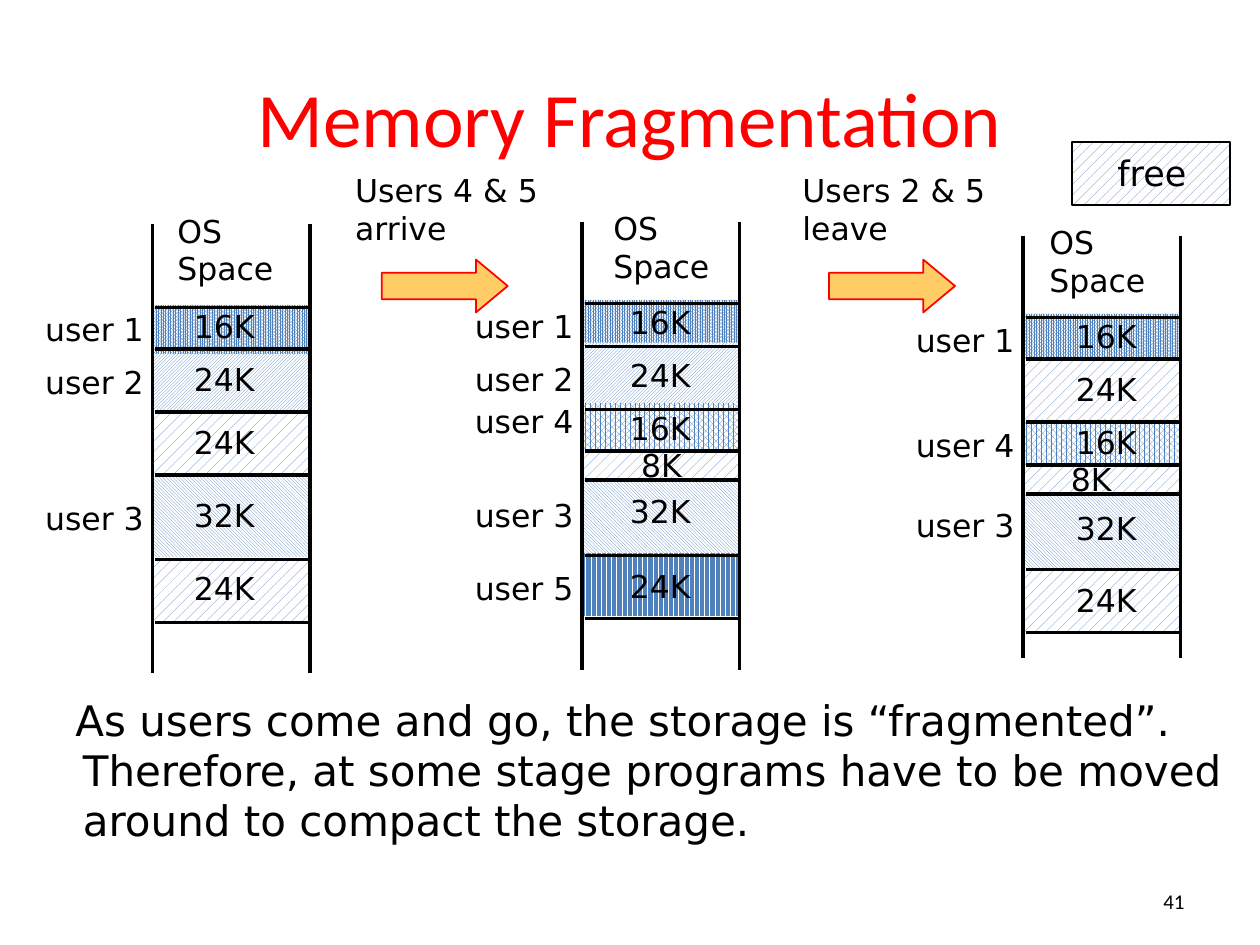
from dataclasses import dataclass

from pptx import Presentation
from pptx.dml.color import RGBColor
from pptx.enum import dml, shapes, text
from pptx.oxml.ns import qn
from pptx.util import Inches, Pt


@dataclass(frozen=True)
class Theme:
    ink: RGBColor = RGBColor.from_string("000000")
    red: RGBColor = RGBColor.from_string("FF0000")
    arrow: RGBColor = RGBColor.from_string("FFCC66")
    pattern: RGBColor = RGBColor.from_string("4F81BD")
    paper: RGBColor = RGBColor.from_string("FFFFFF")
    heading_font: str = "Calibri"
    font: str = "DejaVu Sans"
    title: int = 44
    body: int = 24
    legend: int = 20
    label: int = 18
    number: int = 12


theme = Theme()


def add_text(container, words, left, top, width, height, size=theme.label, font=theme.font,
             align=text.PP_ALIGN.LEFT, anchor=text.MSO_ANCHOR.TOP, wrap=False, margins=()):
    box = container.shapes.add_textbox(Inches(left), Inches(top), Inches(width), Inches(height))
    frame = box.text_frame
    frame.text = words
    frame.word_wrap = wrap
    frame.vertical_anchor = anchor
    frame.auto_size = text.MSO_AUTO_SIZE.SHAPE_TO_FIT_TEXT
    for paragraph in frame.paragraphs:
        paragraph.alignment = align
        paragraph.font.size = Pt(size)
        paragraph.font.name = font
        paragraph.font.color.rgb = theme.ink
    for paragraph, margin in zip(frame.paragraphs, margins):
        properties = paragraph._p.get_or_add_pPr()
        properties.set("marL", str(Inches(margin)))
        properties.set("indent", "0")
    return box


def add_block(container, pattern, left, top, width, height):
    shape = container.shapes.add_shape(shapes.MSO_SHAPE.RECTANGLE, Inches(left), Inches(top),
                                       Inches(width), Inches(height))
    shape.shadow.inherit = False
    shape.fill.patterned()
    shape.fill.pattern = pattern
    shape.fill.fore_color.rgb = theme.pattern
    shape.fill.back_color.rgb = theme.paper
    shape.line.fill.background()
    return shape


presentation = Presentation()
presentation.slide_width = Inches(10)
presentation.slide_height = Inches(7.5)
slide = presentation.slides.add_slide(presentation.slide_layouts[5])

title = slide.shapes.title
title.left, title.top, title.width, title.height = Inches(0.5), Inches(0.3), Inches(9), Inches(1.25)
title.text_frame.text = "Memory Fragmentation"
title.text_frame.vertical_anchor = text.MSO_ANCHOR.MIDDLE
heading = title.text_frame.paragraphs[0]
heading.alignment = text.PP_ALIGN.CENTER
heading.font.size = Pt(theme.title)
heading.font.name = theme.heading_font
heading.font.color.rgb = theme.red

add_text(slide, "41", 7.17, 6.95, 2.33, 0.4, size=theme.number, font=theme.heading_font,
         align=text.PP_ALIGN.RIGHT, anchor=text.MSO_ANCHOR.MIDDLE, wrap=True)
add_text(slide, "As users come and go, the storage is “fragmented”.\n"
         "Therefore, at some stage programs have to be moved\n"
         "around to compact the storage.",
         0.35, 5.46, 9.6, 1.31, size=theme.body, margins=(0.15, 0.21, 0.21))

free = dml.MSO_PATTERN.PERCENT_20
user_patterns = {
    "user 1": dml.MSO_PATTERN.PERCENT_90,
    "user 2": dml.MSO_PATTERN.DARK_UPWARD_DIAGONAL,
    "user 3": dml.MSO_PATTERN.DARK_DOWNWARD_DIAGONAL,
    "user 4": dml.MSO_PATTERN.PERCENT_75,
    "user 5": dml.MSO_PATTERN.DARK_VERTICAL,
}

# left, wall top, wall bottom, OS left, size left, small size left, dividers, blocks
memories = [
    (1.2, 1.78, 5.34, 1.31, 1.44, 1.44, (2.44, 2.77, 3.27, 3.77, 4.44, 4.94), [
        (2.42, 0.4, "16K", 2.39, "user 1", 2.41),
        (2.81, 0.5, "24K", 2.81, "user 2", 2.83),
        (3.27, 0.5, "24K", 3.31, None, None),
        (3.78, 0.64, "32K", 3.89, "user 3", 3.91),
        (4.44, 0.5, "24K", 4.47, None, None),
    ]),
    (4.61, 1.76, 5.32, 4.77, 4.9, 4.99, (2.41, 2.75, 3.25, 3.58, 3.81, 4.41, 4.91), [
        (2.38, 0.4, "16K", 2.36, "user 1", 2.39),
        (2.72, 0.5, "24K", 2.78, "user 2", 2.81),
        (3.2, 0.4, "16K", 3.2, "user 4", 3.14),
        (3.58, 0.23, "8K", 3.49, None, None),
        (3.81, 0.64, "32K", 3.86, "user 3", 3.89),
        (4.39, 0.5, "24K", 4.45, "user 5", 4.47),
    ]),
    (8.11, 1.87, 5.22, 8.23, 8.44, 8.4, (2.52, 2.85, 3.35, 3.69, 3.92, 4.52, 5.02), [
        (2.49, 0.4, "16K", 2.47, "user 1", 2.5),
        (2.85, 0.5, "24K", 2.89, None, None),
        (3.33, 0.4, "16K", 3.31, "user 4", 3.33),
        (3.7, 0.23, "8K", 3.6, None, None),
        (3.93, 0.6, "32K", 3.99, "user 3", 3.97),
        (4.53, 0.5, "24K", 4.56, None, None),
    ]),
]

for left, wall_top, wall_bottom, os_left, size_left, small_left, dividers, blocks in memories:
    memory = slide.shapes.add_group_shape()
    for top, height, size, size_top, user, user_top in blocks:
        add_block(memory, user_patterns.get(user, free), left, top, 1.25, height)

    walls = [(x, wall_top, x, wall_bottom) for x in (left + 0.01, left + 1.26)]
    rules = [(left + 0.03, y, left + 1.25, y) for y in dividers]
    for ends in walls + rules:
        line = memory.shapes.add_connector(shapes.MSO_CONNECTOR.STRAIGHT, *map(Inches, ends))
        line.line.color.rgb = theme.ink
        line.line.width = Pt(2)
        properties = line._element.spPr
        properties.append(properties.makeelement(qn("a:effectLst"), {}))

    add_text(memory, "OS\nSpace", os_left, wall_top - 0.15, 0.96, 0.7)
    for top, height, size, size_top, user, user_top in blocks:
        if size == "8K":
            add_text(memory, size, small_left, size_top, 0.78, 0.4, wrap=True)
        else:
            add_text(memory, size, size_left, size_top, 0.7, 0.4)
        if user:
            add_text(memory, user, left - 0.94, user_top, 1, 0.4)

for left, words in ((2.72, "Users 4 & 5\narrive"), (6.27, "Users 2 & 5\nleave")):
    step = slide.shapes.add_group_shape()
    add_text(step, words, left, 1.31, 1.68, 0.7)
    arrow = step.shapes.add_shape(shapes.MSO_SHAPE.RIGHT_ARROW, Inches(left + 0.31), Inches(2.06),
                                  Inches(1), Inches(0.42))
    arrow.shadow.inherit = False
    arrow.adjustments[0] = 0.5
    arrow.adjustments[1] = 0.6
    arrow.fill.solid()
    arrow.fill.fore_color.rgb = theme.arrow
    arrow.line.color.rgb = theme.red
    arrow.line.width = Pt(1)

legend = add_block(slide, free, 8.51, 1.13, 1.25, 0.5)
legend.line.color.rgb = theme.ink
legend.line.width = Pt(1)
add_text(slide, "free", 8.77, 1.15, 0.75, 0.43, size=theme.legend)

presentation.save("out.pptx")
